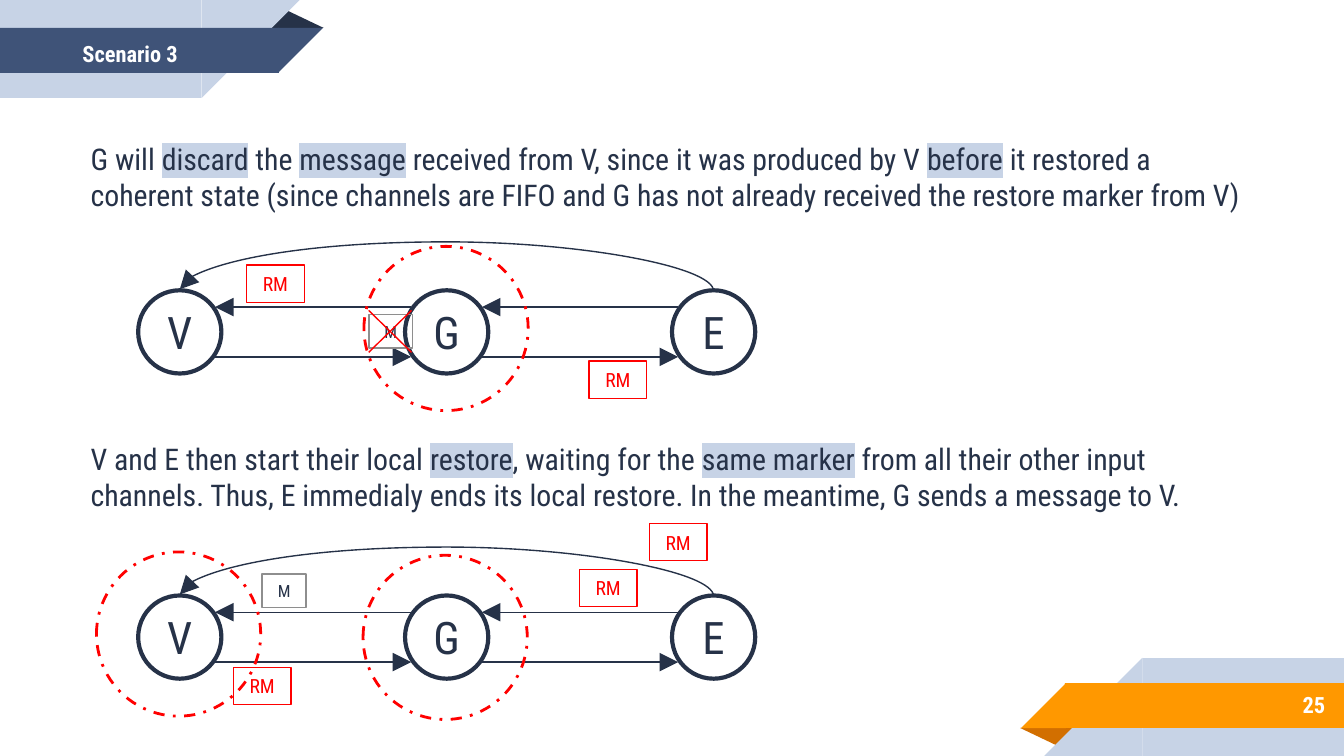
from pptx import Presentation
from pptx.dml.color import RGBColor
from pptx.enum.dml import MSO_LINE
from pptx.enum.shapes import MSO_CONNECTOR as LINK, MSO_SHAPE as SHAPE
from pptx.enum.text import MSO_ANCHOR, PP_ALIGN
from pptx.oxml.ns import qn
from pptx.util import Pt
from lxml.etree import SubElement

NAVY = RGBColor(0x26, 0x32, 0x48)
BLUE = RGBColor(0x3F, 0x53, 0x78)
PALE = RGBColor(0xC7, 0xD3, 0xE6)
ORANGE = RGBColor(0xFF, 0x98, 0x00)
BROWN = RGBColor(0xD2, 0x6F, 0x00)
RED = RGBColor(0xFF, 0x00, 0x00)
GRAY = RGBColor(0x8E, 0x8E, 0x8E)
WHITE = RGBColor(0xFF, 0xFF, 0xFF)
FONT = "Roboto Condensed"
WIDTH, HEIGHT = 720, 405

prs = Presentation()
prs.slide_width, prs.slide_height = Pt(WIDTH), Pt(HEIGHT)
slide = prs.slides.add_slide(prs.slide_layouts[6])
shapes = slide.shapes


def add_outline(kind, x, y, w, h, color, weight, label="", size=12):
    outline = shapes.add_shape(kind, Pt(x), Pt(y), Pt(w), Pt(h))
    outline.shadow.inherit = False
    outline.fill.background()
    outline.line.color.rgb = color
    outline.line.width = Pt(weight)
    if label:
        frame = outline.text_frame
        frame.text = label
        frame.word_wrap = True
        frame.vertical_anchor = MSO_ANCHOR.MIDDLE
        frame.paragraphs[0].alignment = PP_ALIGN.CENTER
        font = frame.paragraphs[0].runs[0].font
        font.name, font.size = FONT, Pt(size)
        font.color.rgb = RED if color == RED else NAVY
    return outline


def add_line(kind, x1, y1, x2, y2, color, arrow=True):
    line = shapes.add_connector(kind, Pt(x1), Pt(y1), Pt(x2), Pt(y2))
    line.line.color.rgb = color
    line.line.width = Pt(0.75)
    if arrow:
        SubElement(line.line._get_or_add_ln(), qn("a:tailEnd"), type="triangle", w="lg", len="lg")
    SubElement(line._element.spPr, qn("a:effectLst"))
    return line


ribbon_parts = [
    (SHAPE.ISOSCELES_TRIANGLE, 142.5, 5, 31, 10, NAVY, BROWN),
    (SHAPE.RECTANGLE, 0, 0, 108, 52.5, PALE, PALE),
    (SHAPE.RIGHT_TRIANGLE, 108, 0, 52.5, 52.5, PALE, PALE),
    (SHAPE.RECTANGLE, 0, 15, 149.5, 24, BLUE, ORANGE),
    (SHAPE.RIGHT_TRIANGLE, 149, 15, 24, 24, BLUE, ORANGE),
]
for at_bottom in (False, True):
    for kind, x, y, w, h, top_color, bottom_color in ribbon_parts:
        if at_bottom:
            x, y = WIDTH - x - w, HEIGHT - y - h
        part = shapes.add_shape(kind, Pt(x), Pt(y), Pt(w), Pt(h))
        part.shadow.inherit = False
        part.fill.solid()
        part.fill.fore_color.rgb = bottom_color if at_bottom else top_color
        part.line.fill.background()
        part.rotation = 180 if at_bottom else 0
        if kind == SHAPE.ISOSCELES_TRIANGLE:
            part.adjustments[0] = 0.324
        elif kind == SHAPE.RIGHT_TRIANGLE:
            part.rotation = 0 if at_bottom else 180
            part._element.spPr.xfrm.set("flipH", "1")

for label, x, y, w, h, align in [
    ("25", 600, 365, 117, 25, PP_ALIGN.RIGHT),
    ("Scenario 3", -8, 16.5, 155.5, 24, PP_ALIGN.CENTER),
]:
    caption = shapes.add_textbox(Pt(x), Pt(y), Pt(w), Pt(h)).text_frame
    caption.text = label
    caption.word_wrap = True
    caption.vertical_anchor = MSO_ANCHOR.MIDDLE
    caption.margin_top = caption.margin_bottom = Pt(7.2)
    caption.paragraphs[0].alignment = align
    font = caption.paragraphs[0].runs[0].font
    font.name, font.size, font.bold = FONT, Pt(12), True
    font.color.rgb = WHITE

explanations = [
    (72, ["G will ", "discard", " the ", "message",
          " received from V, since it was produced by V ", "before",
          " it restored a coherent state (since channels are FIFO and G has not"
          " already received the restore marker from V)"]),
    (232.5, ["V and E then start their local ", "restore", ", waiting for the ", "same marker",
             " from all their other input channels. Thus, E immedialy ends its local restore."
             " In the meantime, G sends a message to V."]),
]
for y, pieces in explanations:
    explanation = shapes.add_textbox(Pt(41.5), Pt(y), Pt(634.5), Pt(46)).text_frame
    explanation.word_wrap = True
    for i, piece in enumerate(pieces):
        run = explanation.paragraphs[0].add_run()
        run.text = piece
        run.font.size = Pt(16)
        run.font.color.rgb = NAVY
        if i % 2:
            highlight = SubElement(run.font._element, qn("a:highlight"))
            SubElement(highlight, qn("a:srgbClr"), val=str(PALE))
        run.font.name = FONT

NODE, STEP = 44.6, 143
for top in (155.5, 319):
    for i in range(2):
        left, right = 115.2 + STEP * i, 220.3 + STEP * i
        add_line(LINK.STRAIGHT, right, top + 9, left, top + 9, NAVY)
        add_line(LINK.STRAIGHT, left, top + 35.7, right, top + 35.7, NAVY)
    for i, process in enumerate("VGE"):
        add_outline(SHAPE.OVAL, 74 + STEP * i, top, NODE, NODE, NAVY, 2.25, process, 24)
    middle = 74 + STEP + NODE / 2
    arc = add_line(LINK.CURVE, middle - 0.5, top + STEP, middle + 0.5, top - STEP, NAVY)
    arc._element.spPr.xfrm.set("rot", "16200000")
    guides = arc._element.spPr.find(qn("a:prstGeom")).get_or_add_avLst()
    SubElement(guides, qn("a:gd"), name="adj1", fmla="val 2660000")

for x, y in [(197.5, 168.5), (140.5, 307.5)]:
    add_outline(SHAPE.RECTANGLE, x, y, 23.5, 18, GRAY, 1, "M", 9)

for start_x, end_x in [(220.5, 197.5), (197.5, 220.5)]:
    add_line(LINK.STRAIGHT, start_x, 166.3, end_x, 188.8, RED, arrow=False)

for x, y in [(195, 132), (194.5, 297.5), (51.7, 295.7)]:
    recording = add_outline(SHAPE.OVAL, x, y, 88, 88, RED, 1.5)
    recording.line.dash_style = MSO_LINE.DASH_DOT

for x, y in [(132, 142), (315.5, 193.5), (310.3, 305), (347.8, 280.5), (125, 357.5)]:
    add_outline(SHAPE.RECTANGLE, x, y, 31, 20, RED, 0.75, "RM", 10.5)

prs.save("out.pptx")
